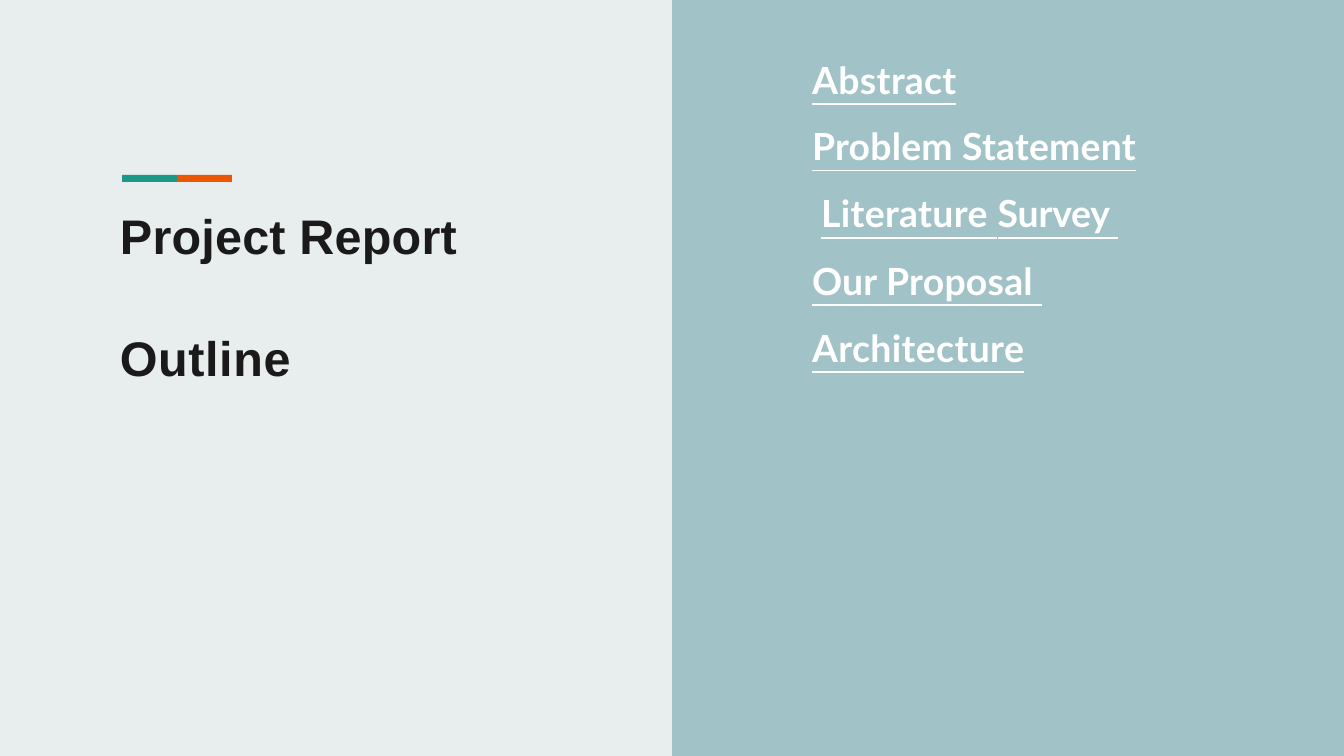
from pptx import Presentation
from pptx import util as u
from pptx.dml.color import RGBColor
from pptx.enum import shapes, text
from pptx.oxml.xmlchemy import OxmlElement

PX = 914400 / 134.4
COLORS = {"left": "E8EDED", "right": "A1C3C8", "teal": "1A9987",
          "orange": "EB5600", "ink": "1A1A1A", "white": "FFFFFF"}

# colour, left, top, width, height in px
PANELS = [
    ("right", 672, 0, 672, 756),
    ("left", 0, 0, 672, 756),
    ("orange", 177, 175, 55, 7),
    ("teal", 122, 175, 55, 7),
]

# Each paragraph: left indent in px, then runs of (text, letter spacing in 1/100 pt)
HEADING = [(1, [("Project Report", 10)]), (1, [("Outline", 30)])]
FIRST_TOPIC = [(1, [("Abst", 20), ("r", -10), ("act", 10)])]
TOPICS = [
    (1, [("Problem", 10), (" ", -140), ("Statement", 10)]),
    (10, [("Literature ", 20), ("Survey ", -10)]),
    (1, [("Our Proposal ", 10)]),
    (1, [("Architecture", 20)]),
]


def px(value):
    return u.Emu(round(value * PX))


def place(shape, left, top, width, height):
    shape.left, shape.top = px(left), px(top)
    shape.width, shape.height = px(width), px(height)


def write(box, paragraphs, font, size, color, underline=None, spacing=1.0, gap=0):
    frame = box.text_frame
    frame.word_wrap = True
    frame.auto_size = text.MSO_AUTO_SIZE.NONE
    frame.vertical_anchor = text.MSO_ANCHOR.TOP
    frame.margin_left = frame.margin_right = frame.margin_bottom = 0
    frame.margin_top = px(1)
    for index, (indent, runs) in enumerate(paragraphs):
        para = frame.add_paragraph() if index else frame.paragraphs[0]
        para.alignment = text.PP_ALIGN.LEFT
        para.line_spacing = spacing
        para.space_before = u.Pt(gap if index else 0)
        properties = para._p.get_or_add_pPr()
        properties.set("marL", str(px(indent)))
        properties.set("indent", "0")
        properties.append(OxmlElement("a:buNone"))
        for words, tracking in runs:
            span = para.add_run()
            span.text = words
            span.font.name = font
            span.font.size = u.Pt(size)
            span.font.bold = True
            span.font.underline = underline
            span.font.color.rgb = RGBColor.from_string(COLORS[color])
            span._r.get_or_add_rPr().set("spc", str(tracking))


deck = Presentation()
deck.slide_width, deck.slide_height = px(1344), px(756)
page = deck.slides.add_slide(deck.slide_layouts[1])
title, topics = page.placeholders[0], page.placeholders[1]

for color, *area in PANELS:
    panel = page.shapes.add_shape(shapes.MSO_SHAPE.RECTANGLE, *map(px, area))
    panel.shadow.inherit = False
    panel.fill.solid()
    panel.fill.fore_color.rgb = RGBColor.from_string(COLORS[color])
    panel.line.fill.background()

heading = page.shapes.add_textbox(*map(px, (119, 205, 340, 180)))
write(heading, HEADING, "Arial", 26, "ink", gap=34.4)

place(title, 811, 56, 187, 47)
write(title, FIRST_TOPIC, "Lato", 20, "white", underline=True)
place(topics, 811, 100, 340, 333)
write(topics, TOPICS, "Lato", 20, "white", underline=True, spacing=1.5)

# Bring the text placeholders in front of the panels
for placeholder in (title, topics):
    page.shapes._spTree.append(placeholder._element)

deck.save("out.pptx")
